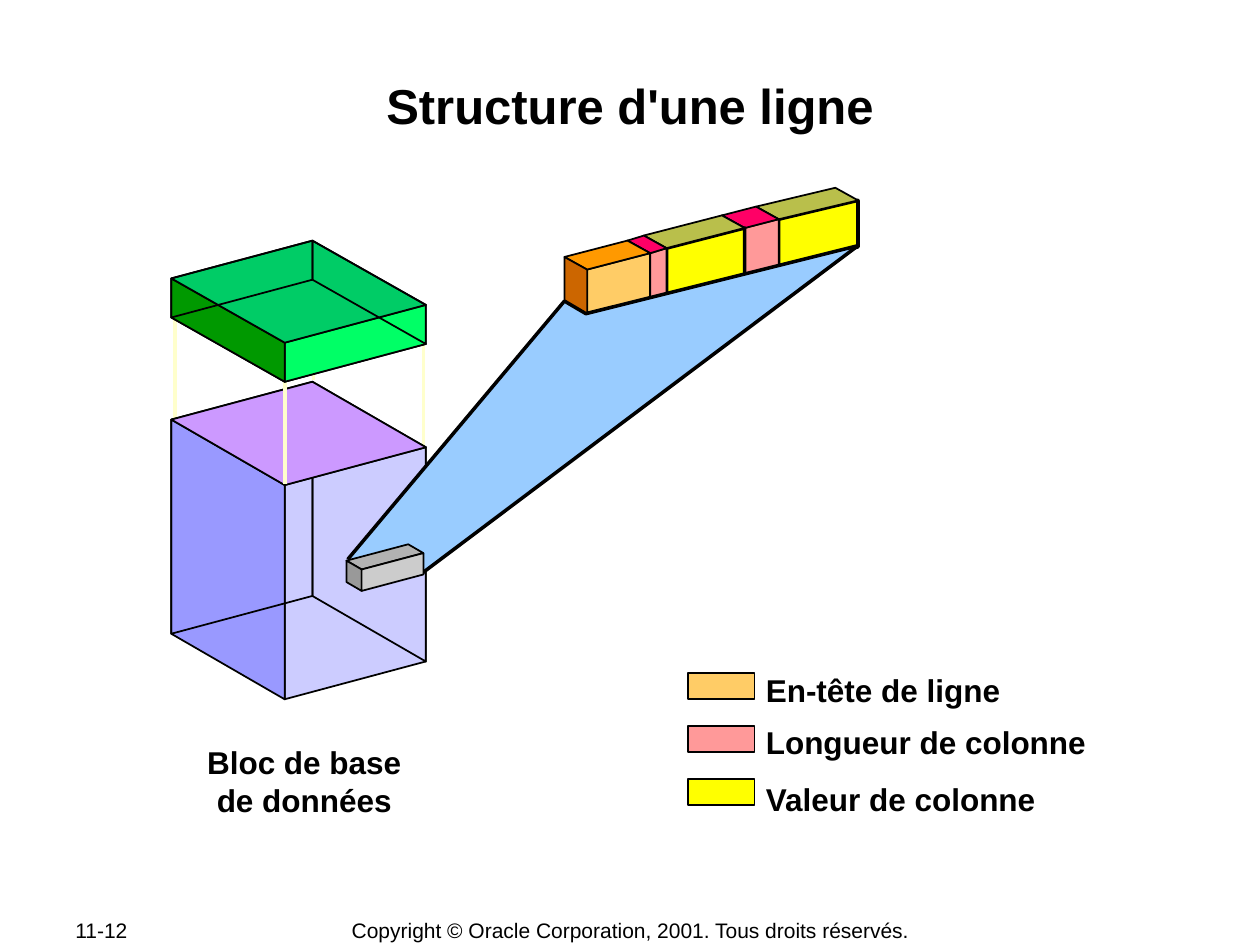
from dataclasses import dataclass
from itertools import pairwise

from lxml import etree
from pptx import Presentation, util as u
from pptx.dml.color import RGBColor
from pptx.enum import shapes, text


@dataclass(frozen=True)
class Theme:
    font: str = "Arial"
    title: int = 28
    label: int = 18
    foot: int = 12
    thin: int = 1
    thick: int = 2
    ink: str = "000000"
    guide: str = "FFFFCC"
    head: str = "FFCC66"
    size: str = "FF9999"
    value: str = "FFFF00"
    head_top: str = "FF9900"
    head_side: str = "CC6600"
    size_top: str = "FF0066"
    value_top: str = "B9BF4B"
    grey: str = "999999"
    grey_top: str = "B2B2B2"
    grey_front: str = "CCCCCC"
    beam: str = "99CCFF"
    block: str = "CCCCFF"
    block_side: str = "9999FF"
    block_top: str = "CC99FF"
    lid: str = "00FF66"
    lid_side: str = "009900"
    lid_top: str = "00CC66"
    lid_base: str = "FFFF66"


theme = Theme()
rgb = RGBColor.from_string
deck = Presentation()
deck.slide_width, deck.slide_height = u.Inches(10), u.Inches(7.5)
slide = deck.slides.add_slide(deck.slide_layouts[6])
cell = deck.slide_width // 1000  # grid of 1000 columns by 750 rows


def prism(left, right, depth, high, paint):
    """Draw the faces named in paint, in order.

    left and right end the front's upper edge; depth leads from it to the rear.
    """
    rear_left, rear_right = [(x + depth[0], y + depth[1]) for x, y in (left, right)]
    edges = {"front": (left, right), "side": (rear_left, left),
             "far": (right, rear_right), "rear": (rear_left, rear_right)}
    for name, fill in paint.items():
        if name in edges:
            a, b = edges[name]
            face = [a, b, (b[0], b[1] + high), (a[0], a[1] + high)]
        else:
            drop = high if name == "base" else 0
            face = [(x, y + drop) for x, y in (left, right, rear_right, rear_left)]
        path = slide.shapes.build_freeform(*face[0], scale=cell)
        path.add_line_segments(face[1:], close=True)
        shape = path.convert_to_shape()
        shape.shadow.inherit = False
        if fill:
            shape.fill.solid()
            shape.fill.fore_color.rgb = rgb(fill)
        else:
            shape.fill.background()
        shape.line.color.rgb = rgb(theme.ink)
        shape.line.width = u.Pt(theme.thick if fill == theme.value else theme.thin)


def write(lines, area, size, bold=True, align="LEFT", wrap=False,
          inset=(10, 5), anchor="TOP"):
    box = slide.shapes.add_textbox(*[n * cell for n in area])
    frame = box.text_frame
    frame.word_wrap = wrap
    frame.vertical_anchor = text.MSO_ANCHOR[anchor]
    frame.margin_left = frame.margin_right = inset[0] * cell
    frame.margin_top = frame.margin_bottom = inset[1] * cell
    para = frame.paragraphs[0]
    para.alignment = text.PP_ALIGN[align]
    for i, line in enumerate(lines):
        if i:
            para.add_line_break()
        run = para.add_run()
        run.text = line
        run.font.name, run.font.size, run.font.bold = theme.font, u.Pt(size), bold
        run.font.color.rgb = rgb(theme.ink)


# Title and footer
write(["Structure d'une ligne"], (100, 58, 800, 96), theme.title,
      align="CENTER", wrap=True, inset=(1, 2))
write(["11-12"], (50, 728, 106, 20), theme.foot, bold=False, anchor="MIDDLE")
write(["Copyright © Oracle Corporation, 2001. Tous droits réservés."],
      (276, 728, 449, 21), theme.foot, bold=False, align="CENTER",
      inset=(0, 5), anchor="MIDDLE")

# Block, lid and the guides between them; the front guide lies over the block
for col, top, end in [(249, 223, 302), (139, 247, 333), (336, 269, 354), (226, 303, 384)]:
    if col == 226:
        prism((226, 385), (338, 355), (-90, -52), 170,
              {"front": theme.block, "side": theme.block_side,
               "far": None, "rear": None, "top": theme.block_top})
    guide = slide.shapes.add_connector(
        shapes.MSO_CONNECTOR.STRAIGHT, *[n * cell for n in (col, top, col, end)])
    guide.line.color.rgb = rgb(theme.guide)
    guide.line.width = u.Pt(theme.thick)
    etree.SubElement(
        guide._element.spPr,
        "{http://schemas.openxmlformats.org/drawingml/2006/main}effectLst")

prism((226, 272), (338, 242), (-90, -51), 31,
      {"base": theme.lid_base, "front": theme.lid, "side": theme.lid_side,
       "top": theme.lid_top, "far": None, "rear": None})

# Row, from its right end to its header
cuts = [(681, 159), (618, 174), (591, 181), (529, 197), (516, 201), (466, 214)]
value = {"front": theme.value, "top": theme.value_top, "side": theme.grey}
size = {"front": theme.size, "top": theme.size_top, "side": theme.grey}
head = {"front": theme.head, "top": theme.head_top, "side": theme.head_side}
for (right, left), paint in zip(pairwise(cuts), [value, size, value, size, head]):
    prism(left, right, (-18, -10), 37, paint)

# Legend
write(["Bloc de base", "de données"], (126, 585, 231, 70), theme.label,
      align="CENTER", wrap=True)
legend = [("En-tête de ligne", 528, 213, theme.head),
          ("Longueur de colonne", 569, 281, theme.size),
          ("Valeur de colonne", 614, 242, theme.value)]
for i, (name, row, wide, fill) in enumerate(legend):
    write([name], (598, row, wide, 40), theme.label)
    key = slide.shapes.add_shape(
        shapes.MSO_SHAPE.RECTANGLE, *[n * cell for n in (546, 534 + 42 * i, 53, 21)])
    key.shadow.inherit = False
    key.fill.solid()
    key.fill.fore_color.rgb = rgb(fill)
    key.line.color.rgb = rgb(theme.ink)
    key.line.width = u.Pt(theme.thin)

# Beam from the small row in the block to the large one
path = slide.shapes.build_freeform(276, 444, scale=cell)
path.add_line_segments([(448, 239), (465, 249), (681, 195), (335, 455)], close=False)
beam = path.convert_to_shape()
beam.shadow.inherit = False
beam.fill.solid()
beam.fill.fore_color.rgb = rgb(theme.beam)
beam.line.color.rgb = rgb(theme.ink)
beam.line.width = u.Pt(theme.thick)

prism((287, 452), (336, 439), (-12, -7), 17,
      {"top": theme.grey_top, "side": theme.grey, "front": theme.grey_front})

deck.save("out.pptx")
